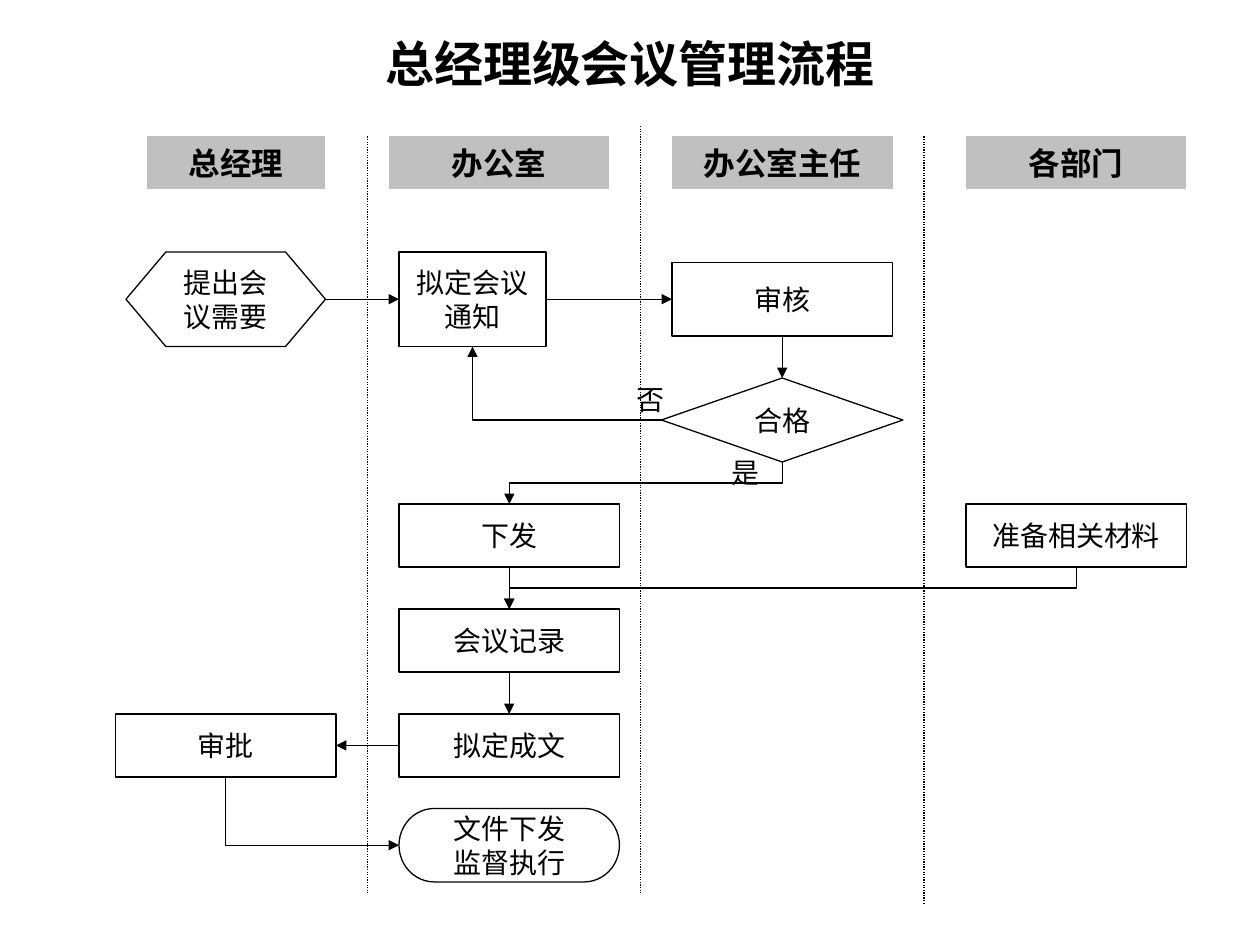
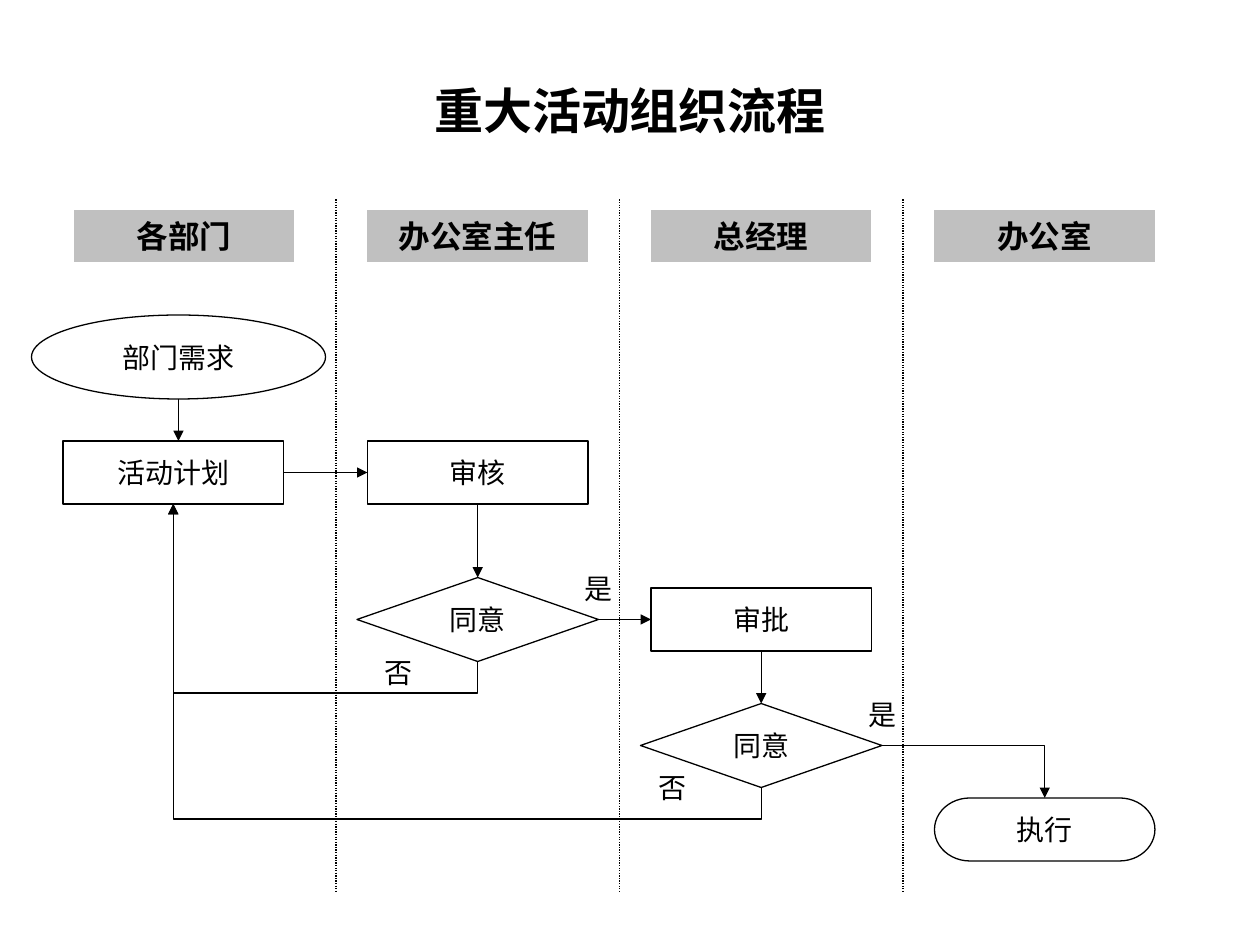
from lxml import etree
from pptx import Presentation
from pptx.dml.color import RGBColor
from pptx.enum.dml import MSO_LINE
from pptx.enum.shapes import MSO_CONNECTOR, MSO_SHAPE
from pptx.enum.text import MSO_ANCHOR, PP_ALIGN
from pptx.oxml.ns import qn
from pptx.util import Pt

# Shared look
BLACK, GREY = "000000", "C0C0C0"
BASE = {"name": "Times New Roman", "size": Pt(16), "bold": False}
HEAD = {**BASE, "size": Pt(18), "bold": True}
TITLE = {**BASE, "size": Pt(28), "bold": True}
LINE = Pt(0.75)
WIDE, HIGH = 126, 36  # usual step box

BOX = MSO_SHAPE.FLOWCHART_PROCESS
TEST = MSO_SHAPE.FLOWCHART_DECISION
PREP = MSO_SHAPE.FLOWCHART_PREPARATION
END = MSO_SHAPE.FLOWCHART_TERMINATOR
OVAL = MSO_SHAPE.OVAL
STRAIGHT, ELBOW = MSO_CONNECTOR.STRAIGHT, MSO_CONNECTOR.ELBOW
DOTS = MSO_LINE.ROUND_DOT
CENTER, MIDDLE = PP_ALIGN.CENTER, MSO_ANCHOR.MIDDLE
TOP, LEFT, BOTTOM, RIGHT = range(4)


def color(code):
    return RGBColor.from_string(code)


# Text
def write(shape, text, style):
    frame = shape.text_frame
    frame.word_wrap = True
    frame.vertical_anchor = MIDDLE
    frame.text = text
    for para in frame.paragraphs:
        para.alignment = CENTER
        para.font.color.rgb = color(BLACK)
        for key, value in style.items():
            setattr(para.font, key, value)


def label(slide, text, x, y, w=36, h=36, style=BASE):
    write(slide.shapes.add_textbox(Pt(x), Pt(y), Pt(w), Pt(h)), text, style)


# Boxes
def head(slide, text, x, y, w=WIDE):
    shape = slide.shapes.add_shape(BOX, Pt(x), Pt(y), Pt(w), Pt(30))
    shape.shadow.inherit = False
    shape.fill.solid()
    shape.fill.fore_color.rgb = color(GREY)
    shape.line.fill.background()
    write(shape, text, HEAD)


def step(slide, text, x, y, w=WIDE, h=HIGH, kind=BOX):
    shape = slide.shapes.add_shape(kind, Pt(x), Pt(y), Pt(w), Pt(h))
    shape.shadow.inherit = False
    shape.fill.background()
    shape.line.color.rgb = color(BLACK)
    shape.line.width = LINE
    write(shape, text, BASE)
    return shape


def test(slide, text, x, y):
    return step(slide, text, x, y, 138, 48, TEST)


# Lines
def style_line(link, arrow=True):
    link.line.color.rgb = color(BLACK)
    link.line.width = LINE
    props = link.element.spPr
    if arrow:
        etree.SubElement(props.find(qn("a:ln")), qn("a:tailEnd"), type="triangle")
    etree.SubElement(props, qn("a:effectLst"))


def lane(slide, x, top, end):
    link = slide.shapes.add_connector(STRAIGHT, Pt(x), Pt(top), Pt(x), Pt(end))
    style_line(link, arrow=False)
    link.line.dash_style = DOTS


def mid(shape, side):
    x, y = shape.left + shape.width // 2, shape.top + shape.height // 2
    return {TOP: (x, shape.top), LEFT: (shape.left, y),
            BOTTOM: (x, shape.top + shape.height),
            RIGHT: (shape.left + shape.width, y)}[side]


def join(slide, start, out, end, into):
    link = slide.shapes.add_connector(STRAIGHT, *mid(start, out), *mid(end, into))
    link.begin_connect(start, out)
    link.end_connect(end, into)
    style_line(link)


def bend(slide, start, out, end, into, drop=None):
    """Elbow arrow; drop is the first leg's length when it turns twice."""
    (ax, ay), (bx, by) = mid(start, out), mid(end, into)
    dx, dy = bx - ax, by - ay
    # Run and rise as seen along the first leg
    turn, run, rise = {RIGHT: (0, dx, dy), BOTTOM: (90, dy, -dx),
                       LEFT: (180, -dx, -dy)}[out]
    sign = 1
    if run < 0:
        turn, run, rise, sign = turn + 180, -run, -rise, -1
    w, h = run, abs(rise)
    x, y = (ax + bx - w) // 2, (ay + by - h) // 2
    link = slide.shapes.add_connector(ELBOW, x, y, x + w, y + h)
    props = link.element.spPr
    form = props.find(qn("a:xfrm"))
    form.set("rot", str(turn * 60000))
    if rise < 0:
        form.set("flipV", "1")
    shape = props.find(qn("a:prstGeom"))
    if drop is None:
        shape.set("prst", "bentConnector2")
    else:
        guides = shape.find(qn("a:avLst"))
        if guides is None:
            guides = etree.SubElement(shape, qn("a:avLst"))
        ratio = round(sign * Pt(drop) / run * 100000)
        etree.SubElement(guides, qn("a:gd"), name="adj1", fmla=f"val {ratio}")
    style_line(link)


# Slides
def meeting(slide):
    label(slide, "总经理级会议管理流程", 54, 0, 612, 72, TITLE)
    head(slide, "总经理", 84, 78, 102)
    for text, x in (("办公室", 222), ("办公室主任", 384), ("各部门", 552)):
        head(slide, text, x, 78)
    for x, top, end in ((210, 78, 510), (366, 72, 510), (528, 78, 516)):
        lane(slide, x, top, end)

    # Steps
    need = step(slide, "提出会议需要", 72, 144, 114, 54, PREP)
    note = step(slide, "拟定会议通知", 228, 144, 84, 54)
    check = step(slide, "审核", 384, 150, h=42)
    good = test(slide, "合格", 378, 216)
    send, log, draft = [step(slide, text, 228, 288 + 60 * i) for i, text
                        in enumerate(("下发", "会议记录", "拟定成文"))]
    sign = step(slide, "审批", 66, 408)
    last = step(slide, "文件下发\n监督执行", 228, 462, h=42, kind=END)
    files = step(slide, "准备相关材料", 552, 288)
    label(slide, "否", 354, 210)
    label(slide, "是", 408, 252)

    # Flow
    join(slide, need, RIGHT, note, LEFT)
    join(slide, note, RIGHT, check, LEFT)
    join(slide, check, BOTTOM, good, TOP)
    bend(slide, good, LEFT, note, BOTTOM)
    bend(slide, good, BOTTOM, send, TOP, 12)
    join(slide, send, BOTTOM, log, TOP)
    bend(slide, files, BOTTOM, log, TOP, 12)
    join(slide, log, BOTTOM, draft, TOP)
    join(slide, draft, LEFT, sign, RIGHT)
    bend(slide, sign, BOTTOM, last, LEFT)


def event(slide):
    label(slide, "重大活动组织流程", 54, 18, 612, 90, TITLE)
    for text, x in (("各部门", 42), ("办公室主任", 210), ("总经理", 372), ("办公室", 534)):
        head(slide, text, x, 120)
    for i in range(3):
        lane(slide, 192 + 162 * i, 114, 510)

    # Steps
    step(slide, "部门需求", 18, 180, 168, 48, OVAL)
    plan = step(slide, "活动计划", 36, 252)
    check = step(slide, "审核", 210, 252)
    agree = test(slide, "同意", 204, 330)
    sign = step(slide, "审批", 372, 336)
    final = test(slide, "同意", 366, 402)
    act = step(slide, "执行", 534, 456, kind=END)
    for text, x, y in (("否", 210, 366), ("是", 324, 318),
                       ("否", 366, 432), ("是", 486, 390)):
        label(slide, text, x, y)

    # Flow
    style_line(slide.shapes.add_connector(STRAIGHT, Pt(102), Pt(228), Pt(102), Pt(252)))
    join(slide, plan, RIGHT, check, LEFT)
    join(slide, check, BOTTOM, agree, TOP)
    join(slide, agree, RIGHT, sign, LEFT)
    join(slide, sign, BOTTOM, final, TOP)
    for choice in (agree, final):
        bend(slide, choice, BOTTOM, plan, BOTTOM, 18)
    bend(slide, final, RIGHT, act, TOP)


def main():
    deck = Presentation()
    deck.slide_width, deck.slide_height = Pt(720), Pt(540)
    for build in (meeting, event):
        build(deck.slides.add_slide(deck.slide_layouts[6]))
    deck.save("out.pptx")


if __name__ == "__main__":
    main()
